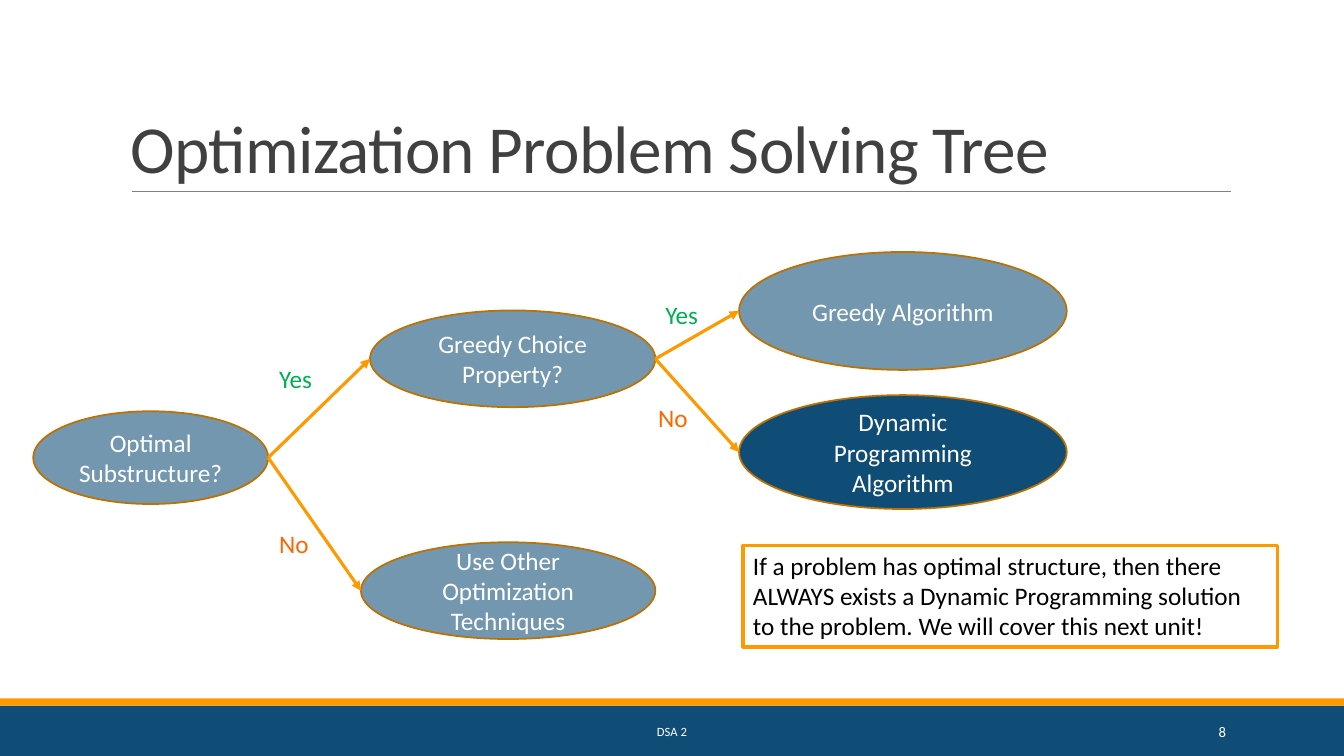
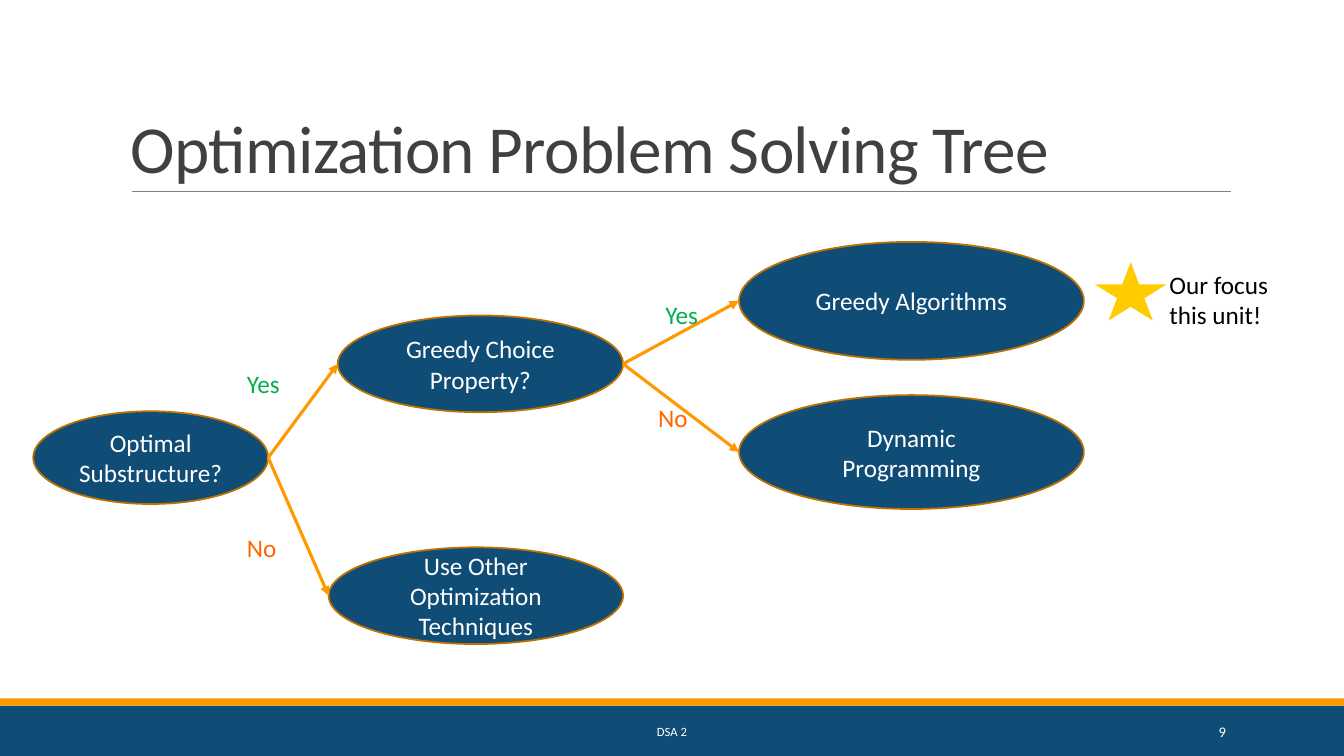
from dataclasses import dataclass

from lxml.etree import SubElement
from pptx import Presentation
from pptx.dml.color import RGBColor
from pptx.enum.shapes import MSO_CONNECTOR, MSO_SHAPE
from pptx.enum.text import MSO_ANCHOR, MSO_AUTO_SIZE, PP_ALIGN
from pptx.oxml.ns import qn
from pptx.shapes.autoshape import Shape
from pptx.shapes.connector import Connector
from pptx.slide import Slide
from pptx.util import Inches, Pt


@dataclass(frozen=True)
class Theme:
    font: str = "Calibri"
    navy: str = "0F4C76"
    orange: str = "FF9900"
    outline: str = "BD7100"
    rule: str = "808080"
    title: str = "404040"
    white: str = "FFFFFF"
    black: str = "000000"
    yes: str = "00B050"
    no: str = "FF6600"
    star: str = "FFCC00"
    title_size: float = 48
    body_size: float = 18
    footer_size: float = 9
    number_size: float = 10.5
    arrow_width: float = 2.25
    outline_width: float = 1.25
    rule_width: float = 0.5
    faded: int = 58


THEME = Theme()
SLIDE_WIDTH, SLIDE_HEIGHT = 13.33, 7.5
ELLIPSE_LEFT_SITE, ELLIPSE_RIGHT_SITE = 2, 6


@dataclass(frozen=True)
class Box:
    left: float
    top: float
    width: float
    height: float

    def lengths(self) -> tuple[Inches, Inches, Inches, Inches]:
        return (Inches(self.left), Inches(self.top),
                Inches(self.width), Inches(self.height))


@dataclass(frozen=True)
class Node:
    text: str
    box: Box
    opacity: int = 100


@dataclass(frozen=True)
class Branch:
    parent: str
    child: str
    answer: str
    label_left: float
    label_top: float


@dataclass(frozen=True)
class Tree:
    number: int
    nodes: dict[str, Node]
    branches: list[Branch]


def write(shape: Shape, text: str, *, size: float = THEME.body_size,
          color: str = THEME.black, align: PP_ALIGN = PP_ALIGN.LEFT,
          anchor: MSO_ANCHOR = MSO_ANCHOR.TOP, grow: bool = False,
          line_spacing: float | None = None,
          tracking: float | None = None) -> None:
    frame = shape.text_frame
    frame.word_wrap = True
    frame.vertical_anchor = anchor
    frame.auto_size = (MSO_AUTO_SIZE.SHAPE_TO_FIT_TEXT if grow
                       else MSO_AUTO_SIZE.NONE)
    paragraph = frame.paragraphs[0]
    paragraph.alignment = align
    paragraph.line_spacing = line_spacing
    run = paragraph.add_run()
    run.text = text
    run.font.name = THEME.font
    run.font.size = Pt(size)
    run.font.color.rgb = RGBColor.from_string(color)
    if tracking is not None:
        run.font._element.set("spc", str(round(tracking * 100)))


def add_text(slide: Slide, box: Box, text: str, **text_format) -> None:
    write(slide.shapes.add_textbox(*box.lengths()), text, **text_format)


def add_figure(slide: Slide, preset: MSO_SHAPE, box: Box, *,
               fill: str | None = None, opacity: int = 100,
               line: str | None = None, line_width: float = 0) -> Shape:
    figure = slide.shapes.add_shape(preset, *box.lengths())
    figure.shadow.inherit = False
    if fill:
        figure.fill.solid()
        figure.fill.fore_color.rgb = RGBColor.from_string(fill)
        if opacity < 100:
            color = figure._element.spPr.find(
                f"{qn('a:solidFill')}/{qn('a:srgbClr')}")
            SubElement(color, qn("a:alpha"), val=str(opacity * 1000))
    else:
        figure.fill.background()
    if line:
        figure.line.color.rgb = RGBColor.from_string(line)
        figure.line.width = Pt(line_width)
    else:
        figure.line.fill.background()
    return figure


def add_line(slide: Slide, start: tuple[int, int], end: tuple[int, int],
             color: str, width: float) -> Connector:
    line = slide.shapes.add_connector(MSO_CONNECTOR.STRAIGHT, *start, *end)
    line.line.color.rgb = RGBColor.from_string(color)
    line.line.width = Pt(width)
    SubElement(line._element.spPr, qn("a:effectLst"))
    return line


def add_arrow(slide: Slide, parent: Shape, child: Shape) -> None:
    """Run an arrow from parent's right side to child's left side, glued."""
    arrow = add_line(
        slide,
        (parent.left + parent.width, parent.top + parent.height // 2),
        (child.left, child.top + child.height // 2),
        THEME.orange, THEME.arrow_width)
    SubElement(arrow.line._get_or_add_ln(), qn("a:tailEnd"), type="triangle")
    links = arrow._element.nvCxnSpPr.cNvCxnSpPr
    for tag, node, site in (("a:stCxn", parent, ELLIPSE_RIGHT_SITE),
                            ("a:endCxn", child, ELLIPSE_LEFT_SITE)):
        SubElement(links, qn(tag), id=str(node.shape_id), idx=str(site))


def add_frame(slide: Slide, number: int) -> None:
    """Draw the bands, title and footer that every slide shares."""
    add_figure(slide, MSO_SHAPE.RECTANGLE, Box(0, 7, SLIDE_WIDTH, 0.5),
               fill=THEME.navy)
    add_figure(slide, MSO_SHAPE.RECTANGLE, Box(0, 6.93, SLIDE_WIDTH, 0.07),
               fill=THEME.orange)
    add_line(slide, (Inches(1.31), Inches(1.9)), (Inches(12.21), Inches(1.9)),
             THEME.rule, THEME.rule_width)
    add_text(slide, Box(1.2, 0.31, 11, 1.6), "Optimization Problem Solving Tree",
             size=THEME.title_size, color=THEME.title,
             anchor=MSO_ANCHOR.BOTTOM, line_spacing=0.85, tracking=-0.5)
    add_text(slide, Box(4.03, 7.06, 5.27, 0.4), "DSA 2",
             size=THEME.footer_size, color=THEME.white,
             align=PP_ALIGN.CENTER, anchor=MSO_ANCHOR.MIDDLE)
    add_text(slide, Box(10.83, 7.06, 1.43, 0.4), str(number),
             size=THEME.number_size, color=THEME.white,
             align=PP_ALIGN.RIGHT, anchor=MSO_ANCHOR.MIDDLE)


def add_node(slide: Slide, node: Node) -> Shape:
    ellipse = add_figure(slide, MSO_SHAPE.OVAL, node.box, fill=THEME.navy,
                         opacity=node.opacity, line=THEME.outline,
                         line_width=THEME.outline_width)
    write(ellipse, node.text, color=THEME.white, align=PP_ALIGN.CENTER,
          anchor=MSO_ANCHOR.MIDDLE)
    return ellipse


def add_tree(slide: Slide, tree: Tree) -> None:
    ellipses = {key: add_node(slide, node) for key, node in tree.nodes.items()}
    answer_colors = {"Yes": THEME.yes, "No": THEME.no}
    for branch in tree.branches:
        add_arrow(slide, ellipses[branch.parent], ellipses[branch.child])
        add_text(slide, Box(branch.label_left, branch.label_top, 0.67, 0.4),
                 branch.answer, color=answer_colors[branch.answer], grow=True)


def make_tree(number: int, *, choice_left: float, choice_top: float,
              greedy: str, greedy_top: float, dynamic: str,
              leaf_width: float, label_left: float, label_top: float,
              opacity: int = 100) -> Tree:
    """Lay out the decision tree; opacity spares the dynamic leaf."""
    nodes = {
        "root": Node("Optimal Substructure?", Box(0.33, 4.08, 2.33, 0.92),
                     opacity),
        "choice": Node("Greedy Choice Property?",
                       Box(choice_left, choice_top, 2.83, 0.96), opacity),
        "other": Node("Use Other Optimization Techniques",
                      Box(choice_left - 0.09, choice_top + 2.3, 2.92, 0.96),
                      opacity),
        "dynamic": Node(dynamic, Box(7.33, 3.92, leaf_width, 1.13)),
        "greedy": Node(greedy, Box(7.33, greedy_top, leaf_width, 1.17),
                       opacity),
    }
    branches = [
        Branch("root", "choice", "Yes", label_left, label_top),
        Branch("root", "other", "No", label_left, label_top + 1.63),
        Branch("choice", "greedy", "Yes", 6.5, 2.92),
        Branch("choice", "dynamic", "No", 6.43, 3.94),
    ]
    return Tree(number, nodes, branches)


def add_tree_slide(presentation: Presentation, tree: Tree) -> Slide:
    slide = presentation.slides.add_slide(presentation.slide_layouts[6])
    add_frame(slide, tree.number)
    add_tree(slide, tree)
    return slide


def main() -> None:
    presentation = Presentation()
    presentation.slide_width = Inches(SLIDE_WIDTH)
    presentation.slide_height = Inches(SLIDE_HEIGHT)

    dynamic_slide = add_tree_slide(presentation, make_tree(
        8, choice_left=3.67, choice_top=3.08,
        greedy="Greedy Algorithm", greedy_top=2.5,
        dynamic="Dynamic Programming Algorithm", leaf_width=3.25,
        label_left=2.67, label_top=3.56, opacity=THEME.faded))
    callout = add_figure(dynamic_slide, MSO_SHAPE.RECTANGLE,
                         Box(7.37, 5.41, 5.3, 1.01),
                         line=THEME.orange, line_width=THEME.arrow_width)
    write(callout, "If a problem has optimal structure, then there ALWAYS "
          "exists a Dynamic Programming solution to the problem. "
          "We will cover this next unit!", grow=True)

    greedy_slide = add_tree_slide(presentation, make_tree(
        9, choice_left=3.35, choice_top=3.13,
        greedy="Greedy Algorithms", greedy_top=2.4,
        dynamic="Dynamic Programming", leaf_width=3.42,
        label_left=2.35, label_top=3.6))
    add_figure(greedy_slide, MSO_SHAPE.STAR_5_POINT,
               Box(10.86, 2.6, 0.71, 0.58), fill=THEME.star)
    add_text(greedy_slide, Box(11.5, 2.62, 1.25, 0.71),
             "Our focus this unit!", grow=True)

    presentation.save("out.pptx")


if __name__ == "__main__":
    main()
